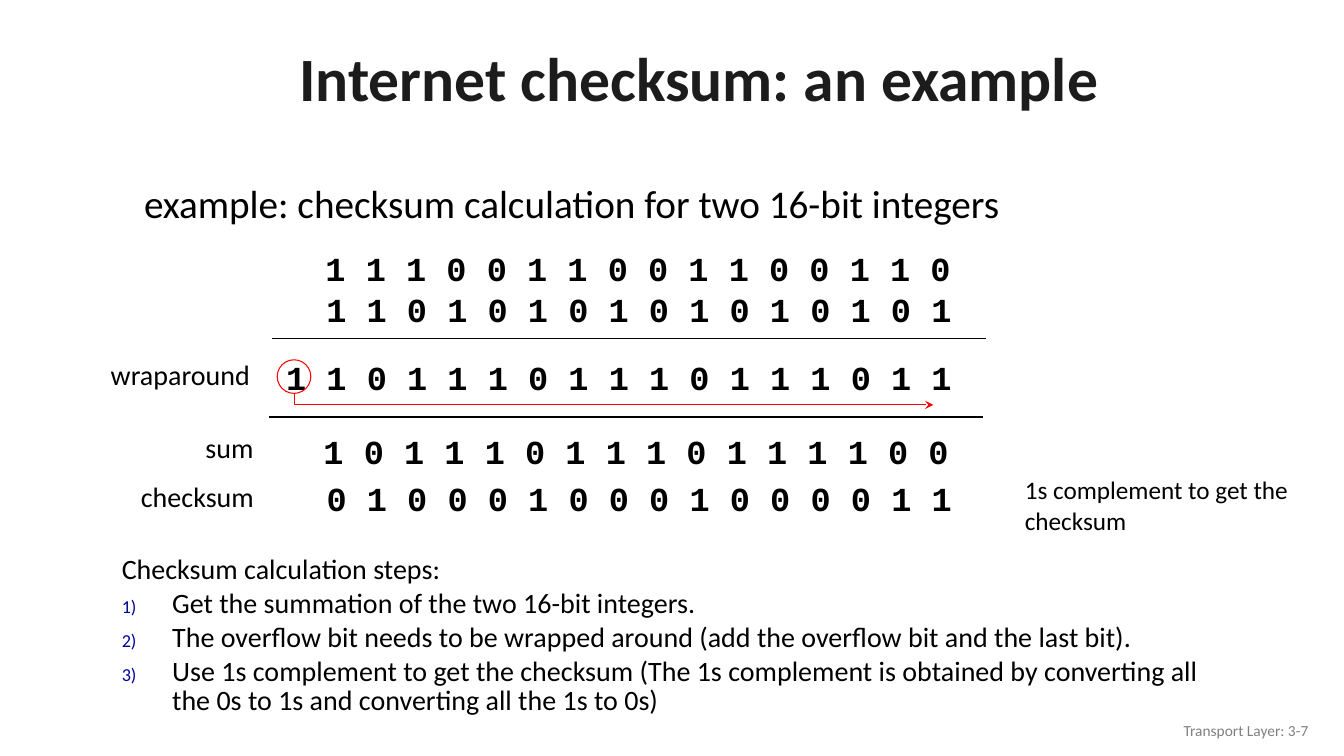
"""Builds the slide that works through an Internet checksum."""
import pptx
import pptx.dml.color
import pptx.enum.shapes
import pptx.enum.text
import pptx.oxml
import pptx.oxml.ns
import pptx.util

Pt = pptx.util.Pt
ALIGN = pptx.enum.text.PP_ALIGN
ANCHOR = pptx.enum.text.MSO_ANCHOR
COLOURS = {"title": "1C1C1C", "text": "000000", "number": "000099",
           "carry": "FF0000", "footer": "808080"}
BIT_ROWS = [
    (225.4, 173.5, "1 1 1 0 0 1 1 0 0 1 1 0 0 1 1 0"),
    (226, 203, "1 1 0 1 0 1 0 1 0 1 0 1 0 1 0 1"),
    (197.3, 251.3, "1 1 0 1 1 1 0 1 1 1 0 1 1 1 0 1 1"),
    (224, 304.6, "1 0 1 1 1 0 1 1 1 0 1 1 1 1 0 0"),
    (226.2, 337.7, "0 1 0 0 0 1 0 0 0 1 0 0 0 0 1 1"),
]
ROW_LABELS = [(72, 252, 114.5, "wraparound"), (139.7, 303.8, 50.4, "sum"),
              (93.6, 338.7, 96.5, "checksum")]
STEPS = [
    "Get the summation of the two 16-bit integers.",
    "The overflow bit needs to be wrapped around (add the overflow bit and the last bit).",
    "Use 1s complement to get the checksum (The 1s complement is obtained by "
    "converting all the 0s to 1s and converting all the 1s to 0s)",
]


def colour(name):
    """Return a named colour."""
    return pptx.dml.color.RGBColor.from_string(COLOURS[name])


def place(shape, left, top, width, height):
    """Move and size a shape, in points."""
    shape.left, shape.top = Pt(left), Pt(top)
    shape.width, shape.height = Pt(width), Pt(height)


def style(para, size, ink="text", face="Calibri", bold=False):
    """Format every run of a paragraph."""
    for span in para.runs:
        span.font.size, span.font.name, span.font.bold = Pt(size), face, bold
        span.font.color.rgb = colour(ink)


def add_text(page, bounds, text, size, wrap=True, **look):
    """Add a text box of one paragraph and return its frame."""
    frame = page.shapes.add_textbox(*map(Pt, bounds)).text_frame
    frame.word_wrap = wrap
    frame.text = text
    style(frame.paragraphs[0], size, **look)
    return frame


def add_title(page, text):
    """Fill and format the title placeholder."""
    title = page.shapes.title
    place(title, 62.6, 23, 874, 70.6)
    frame = title.text_frame
    frame.text = text
    frame.vertical_anchor = ANCHOR.MIDDLE
    frame.auto_size = pptx.enum.text.MSO_AUTO_SIZE.NONE
    para = frame.paragraphs[0]
    para.alignment, para.line_spacing = ALIGN.CENTER, 0.9
    style(para, 44, ink="title", bold=True)


def number_paragraph(para):
    """Give a paragraph a small coloured number and a hanging indent."""
    properties = para._p.get_or_add_pPr()
    properties.set("marL", str(Pt(36)))
    properties.set("indent", str(-Pt(36)))
    names = pptx.oxml.ns.nsdecls("a")
    for element in (
        f'<a:buClr {names}><a:srgbClr val="{COLOURS["number"]}"/></a:buClr>',
        f'<a:buSzPct {names} val="65000"/>',
        f'<a:buFont {names} typeface="Calibri"/>',
        f'<a:buAutoNum {names} type="arabicParenR"/>',
    ):
        properties.append(pptx.oxml.parse_xml(element))


def add_steps(page):
    """Add the numbered calculation steps under their heading."""
    frame = add_text(page, (79.9, 393.8, 800, 129.6), "Checksum calculation steps:", 20)
    frame.paragraphs[0].line_spacing = 0.85
    for step in STEPS:
        para = frame.add_paragraph()
        number_paragraph(para)
        para.text = step
        para.line_spacing, para.space_before = 0.85, Pt(4)
        style(para, 20)


def add_rule(page, left, top, width):
    """Add a horizontal black rule."""
    rule = page.shapes.add_connector(pptx.enum.shapes.MSO_CONNECTOR.STRAIGHT,
                                     Pt(left), Pt(top), Pt(left + width), Pt(top))
    rule.line.color.rgb, rule.line.width = colour("text"), Pt(1)
    rule._element.spPr.append(pptx.oxml.parse_xml(
        f'<a:effectLst {pptx.oxml.ns.nsdecls("a")}/>'))


def outline_carry(shape):
    """Give a shape a thin red outline without fill or shadow."""
    shape.shadow.inherit = False
    shape.fill.background()
    shape.line.color.rgb, shape.line.width = colour("carry"), Pt(0.75)


def add_carry(page):
    """Circle the overflow bit and lead an arrow to the last bit."""
    circle = page.shapes.add_shape(pptx.enum.shapes.MSO_SHAPE.OVAL,
                                   Pt(198), Pt(257), Pt(24), Pt(24))
    outline_carry(circle)
    builder = page.shapes.build_freeform(Pt(210.2), Pt(281.5))
    builder.add_line_segments([(Pt(210.2), Pt(289.2)), (Pt(666.7), Pt(289.2))],
                              close=False)
    arrow = builder.convert_to_shape()
    outline_carry(arrow)
    arrow.line._get_or_add_ln().append(pptx.oxml.parse_xml(
        f'<a:tailEnd {pptx.oxml.ns.nsdecls("a")} type="stealth"/>'))


def main():
    """Build and save the slide."""
    deck = pptx.Presentation()
    deck.slide_width, deck.slide_height = Pt(960), Pt(540)
    page = deck.slides.add_slide(deck.slide_layouts.get_by_name("Title Only"))
    add_title(page, "Internet checksum: an example")
    example = add_text(page, (95.8, 114.5, 670, 60),
                       "example: checksum calculation for two 16-bit integers", 28)
    example.paragraphs[0].line_spacing = 1.3
    for left, top, bits in BIT_ROWS:
        width = 14.4 * (len(bits) + 1)
        add_text(page, (left, top, width, 36), bits, 24, wrap=False,
                 face="Courier New", bold=True)
    for left, top, width, label in ROW_LABELS:
        add_text(page, (left, top, width, 31.5), label, 20, wrap=False)
    add_rule(page, 194.4, 242, 510)
    add_rule(page, 192.2, 298, 510)
    add_carry(page)
    add_text(page, (725, 335.5, 213, 51), "1s complement to get the checksum", 18)
    add_steps(page)
    footer = add_text(page, (725.8, 507.6, 216, 28.8), "Transport Layer: 3-7", 11,
                      ink="footer")
    footer.vertical_anchor = ANCHOR.MIDDLE
    footer.paragraphs[0].alignment = ALIGN.RIGHT
    deck.save("out.pptx")


if __name__ == "__main__":
    main()
